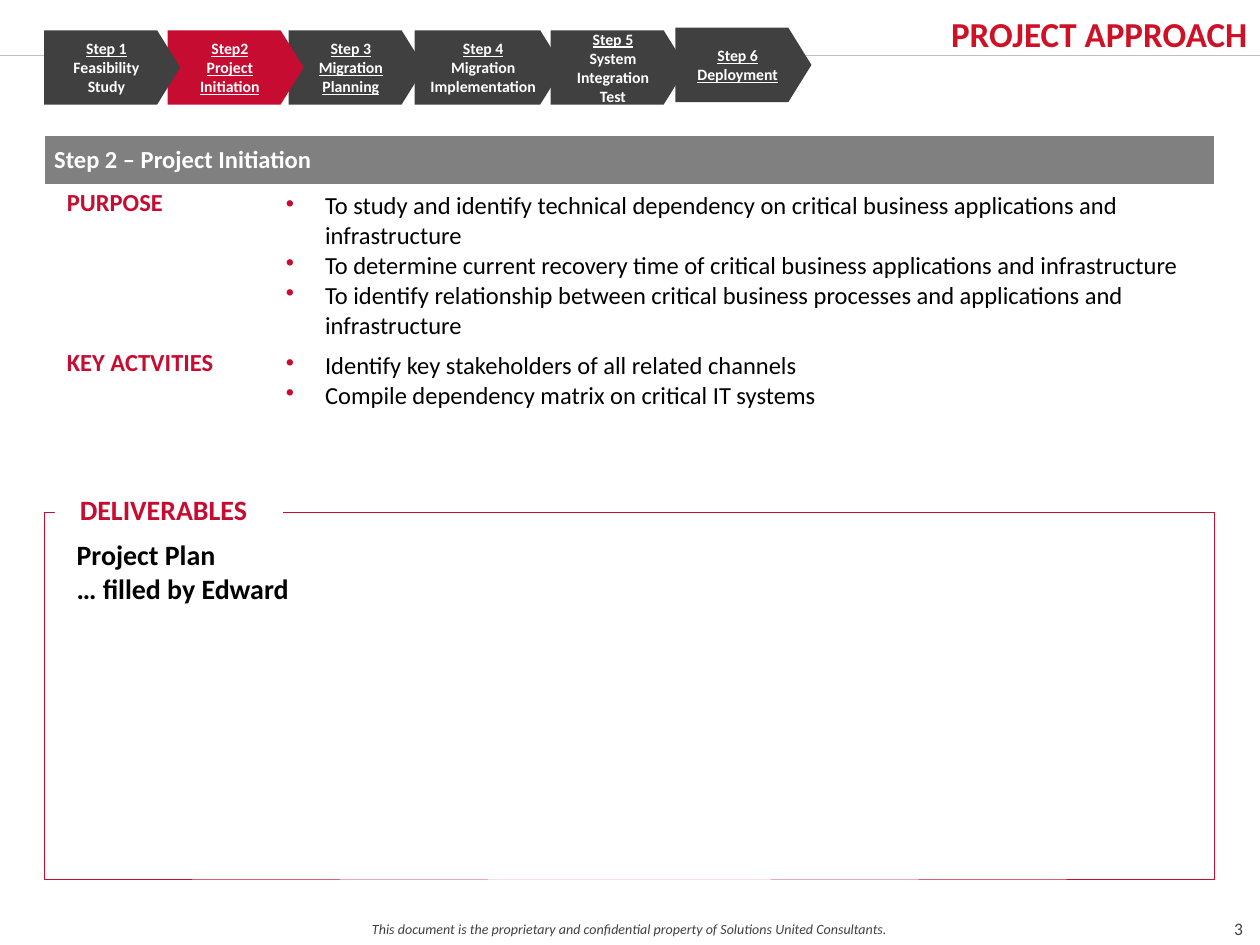
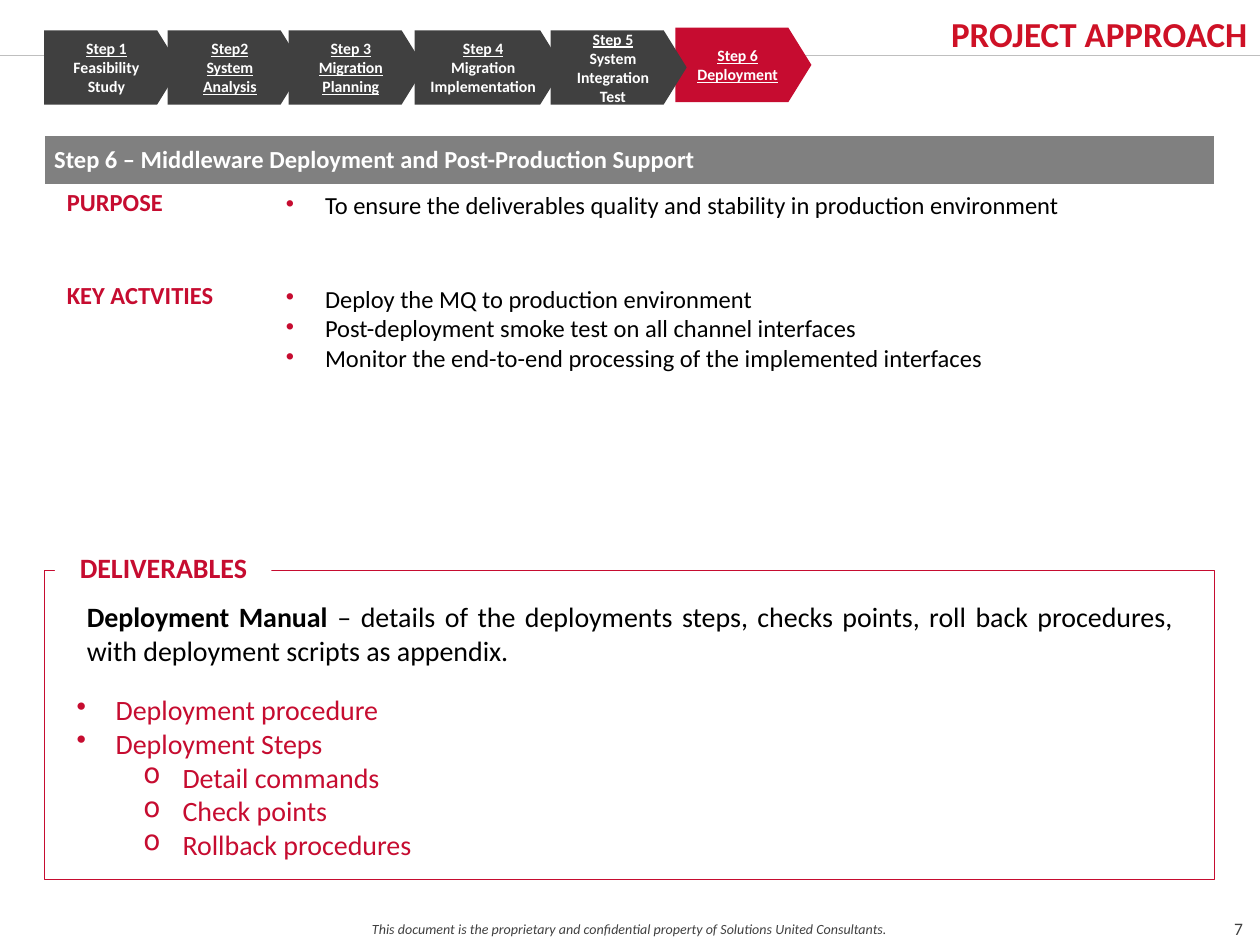
from dataclasses import dataclass

from lxml import etree
from pptx import Presentation
from pptx.dml.color import RGBColor
from pptx.enum.shapes import MSO_CONNECTOR, MSO_SHAPE
from pptx.enum.text import MSO_ANCHOR, MSO_AUTO_SIZE, PP_ALIGN
from pptx.oxml.ns import qn
from pptx.util import Inches, Pt

LEFT, CENTER, RIGHT, JUSTIFY = PP_ALIGN.LEFT, PP_ALIGN.CENTER, PP_ALIGN.RIGHT, PP_ALIGN.JUSTIFY
TOP, MIDDLE = MSO_ANCHOR.TOP, MSO_ANCHOR.MIDDLE
RECTANGLE, CHEVRON = MSO_SHAPE.RECTANGLE, MSO_SHAPE.PENTAGON
STRAIGHT = MSO_CONNECTOR.STRAIGHT
NO_FIT = MSO_AUTO_SIZE.NONE
TITLE_ONLY = 5


@dataclass(frozen=True)
class Theme:
    font: str = "Calibri"
    title_red: str = "CE1126"
    red: str = "C60C30"
    dark: str = "404040"
    band: str = "808080"
    rule: str = "BFBFBF"
    white: str = "FFFFFF"
    black: str = "000000"
    title_size: int = 20
    deliverable_size: int = 16
    table_size: int = 14
    number_size: int = 10
    step_size: int = 9
    footer_size: int = 8
    label_spacing: int = 15


THEME = Theme()

# Grid: 100 columns by 75 rows, square cells
WIDTH, HEIGHT = Inches(10), Inches(7.5)
COLUMNS, ROWS = 100, 75
MARGIN, CONTENT = 3.5, 92.9
FRAME_BOTTOM = 69.75
HANG, SUB_INDENT, LABEL_INDENT = 3.1, 8.4, 1

TITLE = "PROJECT APPROACH"
FOOTER = "This document is the proprietary and confidential property of Solutions United Consultants."

# Left column, top row, width, heading, name, whether the name is underlined
STEPS = [
    (3.5, 2.4, 10.8, "Step 1", "Feasibility Study", False),
    (13.3, 2.4, 10.8, "Step2", None, True),
    (22.9, 2.4, 10.8, "Step 3", "Migration Planning", True),
    (32.9, 2.4, 11.8, "Step 4", "Migration Implementation", False),
    (43.7, 2.4, 10.8, "Step 5", "System Integration Test", False),
    (53.6, 2.2, 10.8, "Step 6", "Deployment", True),
]


def across(columns):
    return round(WIDTH * columns / COLUMNS)


def down(rows):
    return round(HEIGHT * rows / ROWS)


def place(left, top, width, height):
    return across(left), down(top), across(width), down(height)


def rgb(color):
    return RGBColor.from_string(color)


# Text
def format_run(run, size, color, bold=False, italic=False):
    font = run.font
    font.name, font.size = THEME.font, Pt(size)
    font.bold, font.italic = bold, italic
    font.color.rgb = rgb(color)


def write(text_frame, lines, size, color, bold=False, italic=False, align=LEFT):
    text_frame.word_wrap = True
    for index, line in enumerate(lines):
        paragraph = text_frame.add_paragraph() if index else text_frame.paragraphs[0]
        paragraph.text = line
        paragraph.alignment = align
        format_run(paragraph.runs[0], size, color, bold, italic)
    return text_frame.paragraphs


def indent(paragraph, left, first=0):
    properties = paragraph._p.get_or_add_pPr()
    properties.set("marL", str(across(left)))
    properties.set("indent", str(across(first)))
    return properties


def bullet(paragraph, symbol="•", left=HANG):
    properties = indent(paragraph, left, -HANG)
    color = etree.SubElement(properties, qn("a:buClr"))
    etree.SubElement(color, qn("a:srgbClr"), val=THEME.red)
    etree.SubElement(properties, qn("a:buChar"), char=symbol)


def write_label(text_frame, text, size, align=LEFT):
    paragraph = write(text_frame, [text], size, THEME.red, bold=True, align=align)[0]
    paragraph.line_spacing = Pt(THEME.label_spacing)
    indent(paragraph, LABEL_INDENT)


# Shapes
def add_text(slide, area, lines, size, color, **style):
    text_frame = slide.shapes.add_textbox(*place(*area)).text_frame
    return write(text_frame, lines, size, color, **style)


def add_block(slide, kind, area, fill=None, line=None):
    shape = slide.shapes.add_shape(kind, *place(*area))
    shape.shadow.inherit = False
    if fill:
        shape.fill.solid()
        shape.fill.fore_color.rgb = rgb(fill)
    else:
        shape.fill.background()
    if line:
        shape.line.color.rgb = rgb(line)
        shape.line.width = Pt(0.25)
    else:
        shape.line.fill.background()
    return shape


def add_frame_parts(slide, number):
    """Title, rule, footer and page number."""
    rule = slide.shapes.add_connector(STRAIGHT, 0, down(4.4), WIDTH, down(4.4))
    rule.line.color.rgb = rgb(THEME.rule)
    rule.line.width = Pt(0.5)
    etree.SubElement(rule._element.spPr, qn("a:effectLst"))

    title = slide.shapes.title
    title.left, title.top, title.width, title.height = place(40.1, 0.2, 59.9, 4.2)
    text_frame = title.text_frame
    text_frame.auto_size = NO_FIT
    text_frame.vertical_anchor = TOP
    text_frame.margin_left, text_frame.margin_right = 0, across(1)
    text_frame.margin_top, text_frame.margin_bottom = down(0.8), 0
    write(text_frame, [TITLE], THEME.title_size, THEME.title_red, bold=True, align=RIGHT)

    add_text(slide, (0, 72.6, 100, 2.4), [FOOTER], THEME.footer_size, THEME.dark,
             italic=True, align=CENTER)
    add_text(slide, (96.6, 72.4, 3.4, 2.6), [str(number)], THEME.number_size, THEME.dark,
             align=CENTER)


def add_steps(slide, active, second_step):
    # Drawn from the last so that each tip lies over the next step
    for position in reversed(range(len(STEPS))):
        left, top, width, heading, name, underlined = STEPS[position]
        fill = THEME.red if position + 1 == active else THEME.dark
        step = add_block(slide, CHEVRON, (left, top, width, 5.9), fill)
        step.adjustments[0] = 0.31
        step.text_frame.vertical_anchor = MIDDLE
        first, second = write(step.text_frame, [heading, name or second_step],
                              THEME.step_size, THEME.white, bold=True, align=CENTER)
        first.runs[0].font.underline = True
        second.runs[0].font.underline = underlined


def add_summary_table(slide, heading, purposes, purpose_rows, activities):
    heights = [4, purpose_rows, 13.3]
    table = slide.shapes.add_table(
        3, 2, *place(MARGIN, 10.7, CONTENT, sum(heights))).table
    table.horz_banding = False
    for column, width in zip(table.columns, (18.4, 74.5)):
        column.width = across(width)
    for row, height in zip(table.rows, heights):
        row.height = down(height)
    for cell in table.iter_cells():
        cell.margin_left = cell.margin_right = across(0.8)
        cell.margin_top = cell.margin_bottom = down(0.5)
        cell.fill.solid()
        cell.fill.fore_color.rgb = rgb(THEME.white)

    # Heading band
    band = table.cell(0, 0)
    band.merge(table.cell(0, 1))
    band.fill.fore_color.rgb = rgb(THEME.band)
    band.vertical_anchor = MIDDLE
    write(band.text_frame, [heading], THEME.table_size, THEME.white, bold=True)

    # Labelled lists
    sections = [("PURPOSE", purposes), ("KEY ACTVITIES", activities)]
    for row, (label, points) in enumerate(sections, start=1):
        write_label(table.cell(row, 0).text_frame, label, THEME.table_size, JUSTIFY)
        cell = table.cell(row, 1)
        for paragraph in write(cell.text_frame, points, THEME.table_size, THEME.black):
            bullet(paragraph)


def add_deliverables_frame(slide, top, tag_width):
    add_block(slide, RECTANGLE, (MARGIN, top, CONTENT, FRAME_BOTTOM - top), line=THEME.red)
    tag = add_block(slide, RECTANGLE, (4.35, top - 1.5, tag_width, 3.2), THEME.white)
    tag.text_frame.vertical_anchor = TOP
    write_label(tag.text_frame, "DELIVERABLES", THEME.deliverable_size)


def add_step_slide(presentation, number, active, second_step):
    slide = presentation.slides.add_slide(presentation.slide_layouts[TITLE_ONLY])
    add_frame_parts(slide, number)
    add_steps(slide, active, second_step)
    return slide


def build_initiation(presentation):
    slide = add_step_slide(presentation, 3, 2, "Project Initiation")
    add_summary_table(
        slide, "Step 2 – Project Initiation",
        ["To study and identify technical dependency on critical business applications and infrastructure",
         "To determine current recovery time of critical business applications and infrastructure",
         "To identify relationship between critical business processes and applications and infrastructure"],
        11.7,
        ["Identify key stakeholders of all related channels",
         "Compile dependency matrix on critical IT systems"])
    add_deliverables_frame(slide, 40.65, 18.1)
    add_text(slide, (5.1, 42.2, 89.8, 6.4), ["Project Plan", "… filled by Edward"],
             THEME.deliverable_size, THEME.black, bold=True, align=JUSTIFY)


def build_deployment(presentation):
    slide = add_step_slide(presentation, 7, 6, "System Analysis")
    add_summary_table(
        slide, "Step 6 – Middleware Deployment and Post-Production Support",
        ["To ensure the deliverables quality and stability in production environment"],
        7.4,
        ["Deploy the MQ to production environment",
         "Post-deployment smoke test on all channel interfaces",
         "Monitor the end-to-end processing of the implemented interfaces"])
    add_deliverables_frame(slide, 45.3, 17.2)

    # Manual description
    manual = add_text(slide, (5.9, 47.1, 88.2, 6.4), ["Deployment Manual "],
                      THEME.deliverable_size, THEME.black, bold=True, align=JUSTIFY)[0]
    details = manual.add_run()
    details.text = ("– details of the deployments steps, checks points, roll back procedures, "
                    "with deployment scripts as appendix.")
    format_run(details, THEME.deliverable_size, THEME.black)

    # Manual contents
    topics = ["Deployment procedure", "Deployment Steps"]
    subtopics = ["Detail commands", "Check points", "Rollback procedures"]
    paragraphs = add_text(slide, (5.1, 54.5, 47.2, 14.5), topics + subtopics,
                          THEME.deliverable_size, THEME.red)
    for index, paragraph in enumerate(paragraphs):
        if index < len(topics):
            bullet(paragraph)
        else:
            paragraph.level = 1
            bullet(paragraph, "o", SUB_INDENT)


def main():
    presentation = Presentation()
    presentation.slide_width, presentation.slide_height = WIDTH, HEIGHT
    build_initiation(presentation)
    build_deployment(presentation)
    presentation.save("out.pptx")


if __name__ == "__main__":
    main()
